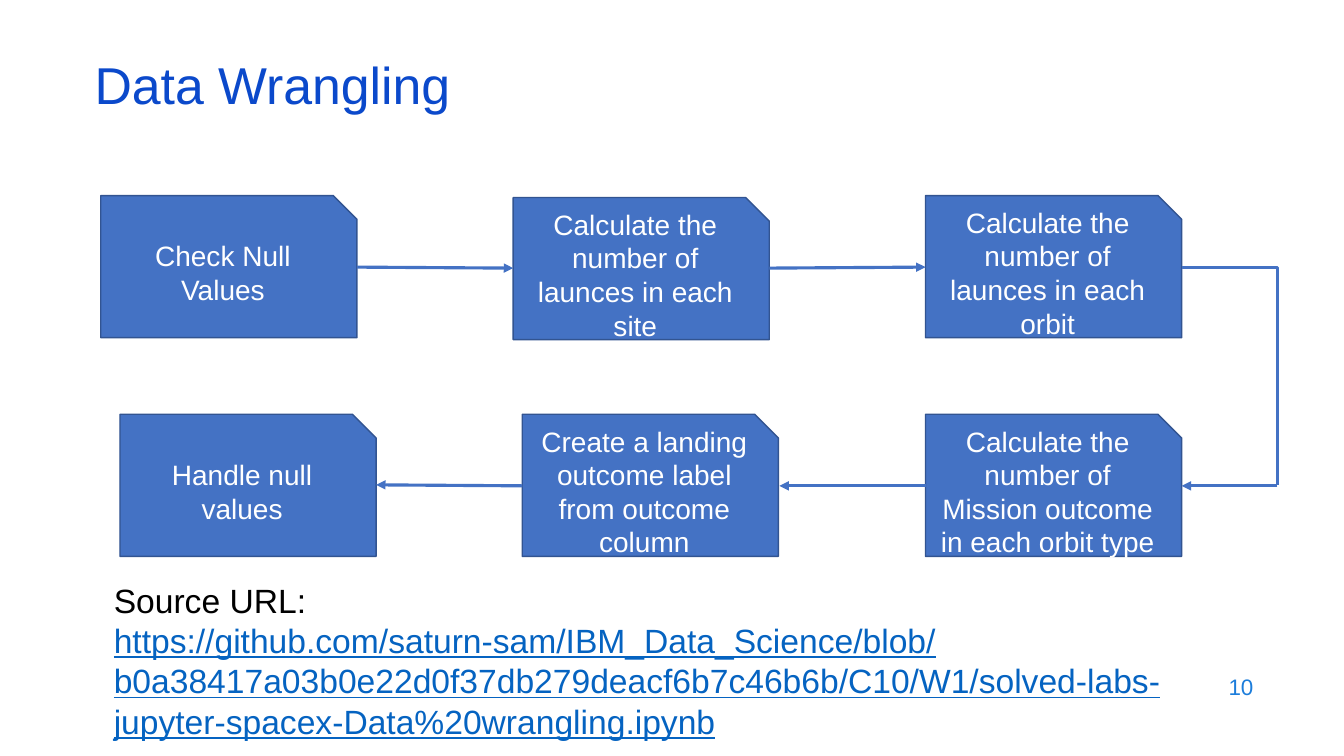
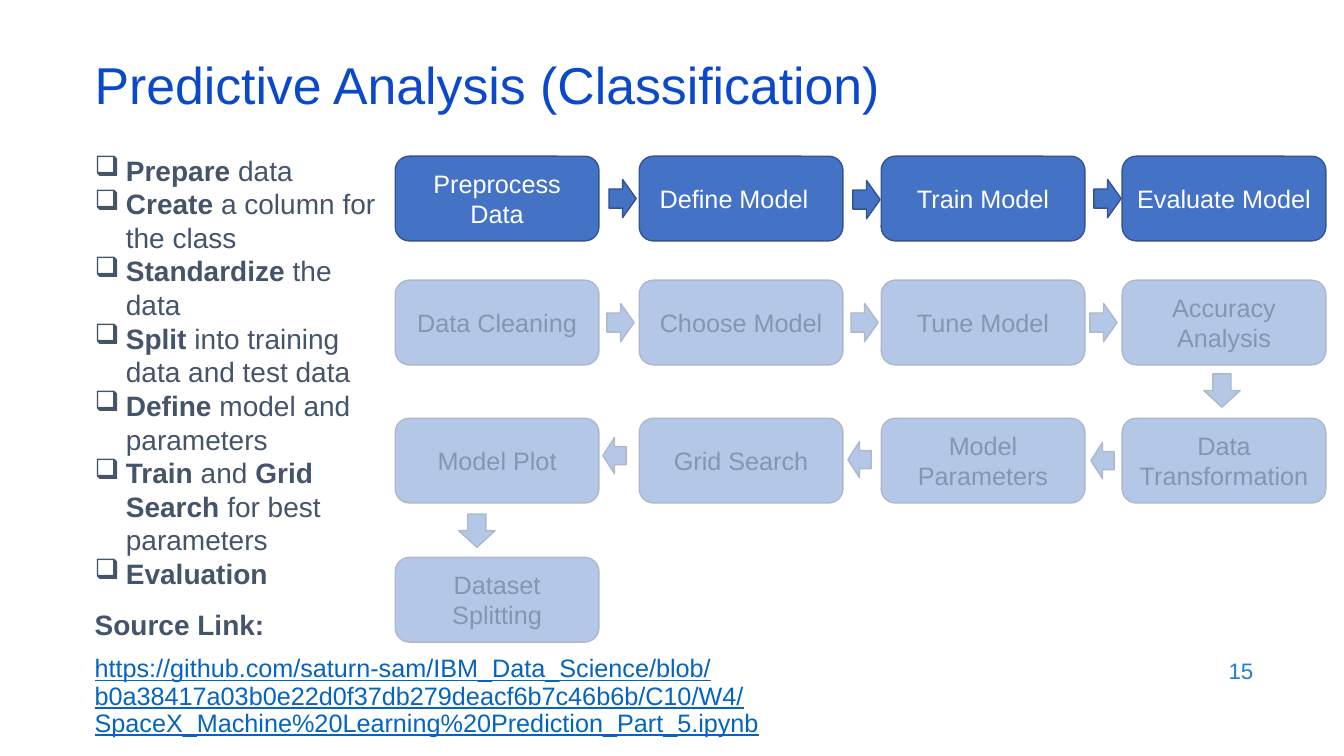
import pptx
import pptx.util
import pptx.dml.color
import pptx.enum.shapes
import pptx.enum.text
import lxml.etree
from pptx.util import Inches, Pt
from pptx.dml.color import RGBColor
from pptx.enum.shapes import MSO_CONNECTOR, MSO_SHAPE
from pptx.enum.text import MSO_ANCHOR, PP_ALIGN
from pptx.oxml.ns import qn

FONT = "Arial"
TITLE_BLUE = RGBColor(0x0B, 0x49, 0xCB)
NUMBER_BLUE = RGBColor(0x1C, 0x7D, 0xDB)
LINK_BLUE = RGBColor(0x05, 0x63, 0xC1)
SLATE = RGBColor(0x44, 0x54, 0x6A)
BLACK = RGBColor(0, 0, 0)
WHITE = RGBColor(0xFF, 0xFF, 0xFF)
BLUE = RGBColor(0x44, 0x72, 0xC4)
DARK_BLUE = RGBColor(0x32, 0x54, 0x91)
PALE_BLUE = RGBColor(0xB4, 0xC7, 0xE7)
PALE_LINE = RGBColor(0xAD, 0xB9, 0xCA)
PALE_TEXT = RGBColor(0x84, 0x97, 0xB0)
STRONG = (BLUE, DARK_BLUE, WHITE)
FADED = (PALE_BLUE, PALE_LINE, PALE_TEXT)


def add_text(slide, box, paragraphs, size, color):
    """Add a text box; each paragraph is a list of (text, bold) runs."""
    frame = slide.shapes.add_textbox(*map(Inches, box)).text_frame
    frame.word_wrap = True
    for i, runs in enumerate(paragraphs):
        paragraph = frame.paragraphs[0] if i == 0 else frame.add_paragraph()
        for text, bold in runs:
            run = paragraph.add_run()
            run.text = text
            run.font.name = FONT
            run.font.size = Pt(size)
            run.font.bold = bold
            run.font.color.rgb = color
    return frame


def add_block(slide, preset, box, colors, text="", size=18):
    """Add a filled, outlined shape; colors are fill, line and text."""
    block = slide.shapes.add_shape(preset, *map(Inches, box))
    block.shadow.inherit = False
    block.fill.solid()
    block.fill.fore_color.rgb = colors[0]
    block.line.color.rgb = colors[1]
    block.line.width = Pt(1)
    if text:
        frame = block.text_frame
        frame.word_wrap = True
        frame.vertical_anchor = MSO_ANCHOR.MIDDLE
        frame.text = text
        paragraph = frame.paragraphs[0]
        paragraph.alignment = PP_ALIGN.CENTER
        font = paragraph.runs[0].font
        font.name, font.size = FONT, Pt(size)
        font.color.rgb = colors[2]
    return block


prs = pptx.Presentation()
prs.slide_width, prs.slide_height = Inches(13.33), Inches(7.5)

# Titles and page numbers
for title, number, number_top in [
    ("Data Wrangling", "10", 6.59),
    ("Predictive Analysis (Classification)", "15", 6.43),
]:
    slide = prs.slides.add_slide(prs.slide_layouts[6])
    frame = add_text(slide, (9.53, number_top, 3, 0.44), [[(number, False)]], 16, NUMBER_BLUE)
    frame.vertical_anchor = MSO_ANCHOR.MIDDLE
    frame.paragraphs[0].alignment = PP_ALIGN.RIGHT
    frame = add_text(slide, (0.84, 0.59, 11.5, 0.6), [[(title, False)]], 37, TITLE_BLUE)
    frame.vertical_anchor = MSO_ANCHOR.MIDDLE
    frame.paragraphs[0].line_spacing = 0.8
wrangling, prediction = prs.slides

# Data wrangling: steps, arrows and link
for left, top, step in [
    (1, 1.94, "Check Null Values"),
    (5.09, 1.96, "Calculate the number of launces in each site"),
    (9.18, 1.94, "Calculate the number of launces in each orbit"),
    (9.18, 4.11, "Calculate the number of Mission outcome in each orbit type"),
    (5.18, 4.11, "Create a landing outcome label from outcome column"),
    (1.19, 4.11, "Handle null values"),
]:
    add_block(wrangling, MSO_SHAPE.SNIP_1_RECTANGLE, (left, top, 2.54, 1.41), STRONG, step, 20)

for ends, bent in [
    ((3.54, 2.65, 5.09, 2.66), False),
    ((7.63, 2.66, 9.18, 2.65), False),
    ((11.72, 2.65, 12.67, 4.81), True),
    ((12.67, 4.82, 11.72, 4.82), False),
    ((9.18, 4.82, 7.73, 4.82), False),
    ((5.18, 4.82, 3.73, 4.81), False),
]:
    kind = MSO_CONNECTOR.ELBOW if bent else MSO_CONNECTOR.STRAIGHT
    link = wrangling.shapes.add_connector(kind, *map(Inches, ends))
    link.line.color.rgb = BLUE
    link.line.width = Pt(2.25)
    properties = link._element.spPr
    if bent:
        properties.find(qn("a:prstGeom")).set("prst", "bentConnector2")
    else:
        lxml.etree.SubElement(properties.find(qn("a:ln")), qn("a:tailEnd"), type="triangle")
    lxml.etree.SubElement(properties, qn("a:effectLst"))

REPOSITORY = (
    "https://github.com/saturn-sam/IBM_Data_Science/blob/"
    "b0a38417a03b0e22d0f37db279deacf6b7c46b6b/C10/"
)
wrangling_url = REPOSITORY + "W1/solved-labs-jupyter-spacex-Data%20wrangling.ipynb"
frame = add_text(wrangling, (1.03, 5.7, 10.91, 1.72),
                 [[("Source URL:", False)], [(wrangling_url, False)]], 24, BLACK)
url_font = frame.paragraphs[1].runs[0].font
url_font.color.rgb = LINK_BLUE
url_font.underline = True

# Predictive analysis: task list
tasks = [
    [("Prepare", True), (" data", False)],
    [("Create", True), (" a column for the class", False)],
    [("Standardize", True), (" the data", False)],
    [("Split", True), (" into training data and test data", False)],
    [("Define ", True), ("model and parameters", False)],
    [("Train", True), (" and ", False), ("Grid Search ", True), ("for best parameters", False)],
    [("Evaluation", True)],
]
frame = add_text(prediction, (0.84, 1.47, 3.02, 4.27), tasks, 20, SLATE)
for paragraph in frame.paragraphs:
    indent = paragraph._p.get_or_add_pPr()
    indent.set("marL", str(Inches(0.31)))
    indent.set("indent", str(-Inches(0.31)))
    lxml.etree.SubElement(indent, qn("a:buChar"), char="❑")

# Predictive analysis: process grid
columns = [3.92, 6.34, 8.74, 11.13]
for top, colors, stages in [
    (1.55, STRONG, ["Preprocess Data", "Define Model", "Train Model", "Evaluate Model"]),
    (2.78, FADED, ["Data Cleaning", "Choose Model", "Tune Model", "Accuracy Analysis"]),
    (4.15, FADED, ["Model Plot", "Grid Search", "Model Parameters", "Data Transformation"]),
    (5.53, FADED, ["Dataset Splitting"]),
]:
    for left, stage in zip(columns, stages):
        block = add_block(prediction, MSO_SHAPE.ROUNDED_RECTANGLE,
                          (left, top, 2.02, 0.84), colors, stage)
        if stage == "Define Model":
            block.text_frame.margin_right = Inches(0.24)

for preset, size, colors, places in [
    (MSO_SHAPE.RIGHT_ARROW, (0.27, 0.38), STRONG, [(6.04, 1.78), (8.46, 1.79), (10.85, 1.78)]),
    (MSO_SHAPE.RIGHT_ARROW, (0.27, 0.38), FADED, [(6.02, 3.01), (8.44, 3.01), (10.81, 3.01)]),
    (MSO_SHAPE.LEFT_ARROW, (0.23, 0.36), FADED, [(5.98, 4.34), (8.41, 4.38), (10.82, 4.39)]),
    (MSO_SHAPE.DOWN_ARROW, (0.36, 0.33), FADED, [(11.94, 3.71), (4.55, 5.1)]),
]:
    for place in places:
        add_block(prediction, preset, place + size, colors)

# Predictive analysis: link
prediction_url = REPOSITORY + "W4/SpaceX_Machine%20Learning%20Prediction_Part_5.ipynb"
frame = add_text(prediction, (0.84, 6.02, 11.27, 1.36),
                 [[("Source Link:", True)], [(prediction_url, False)]], 20, SLATE)
for paragraph in frame.paragraphs:
    paragraph.line_spacing = 0.9
frame.paragraphs[1].space_before = Pt(10)
url_font = frame.paragraphs[1].runs[0].font
url_font.size = Pt(18)
url_font.color.rgb = LINK_BLUE
url_font.underline = True

prs.save("out.pptx")
